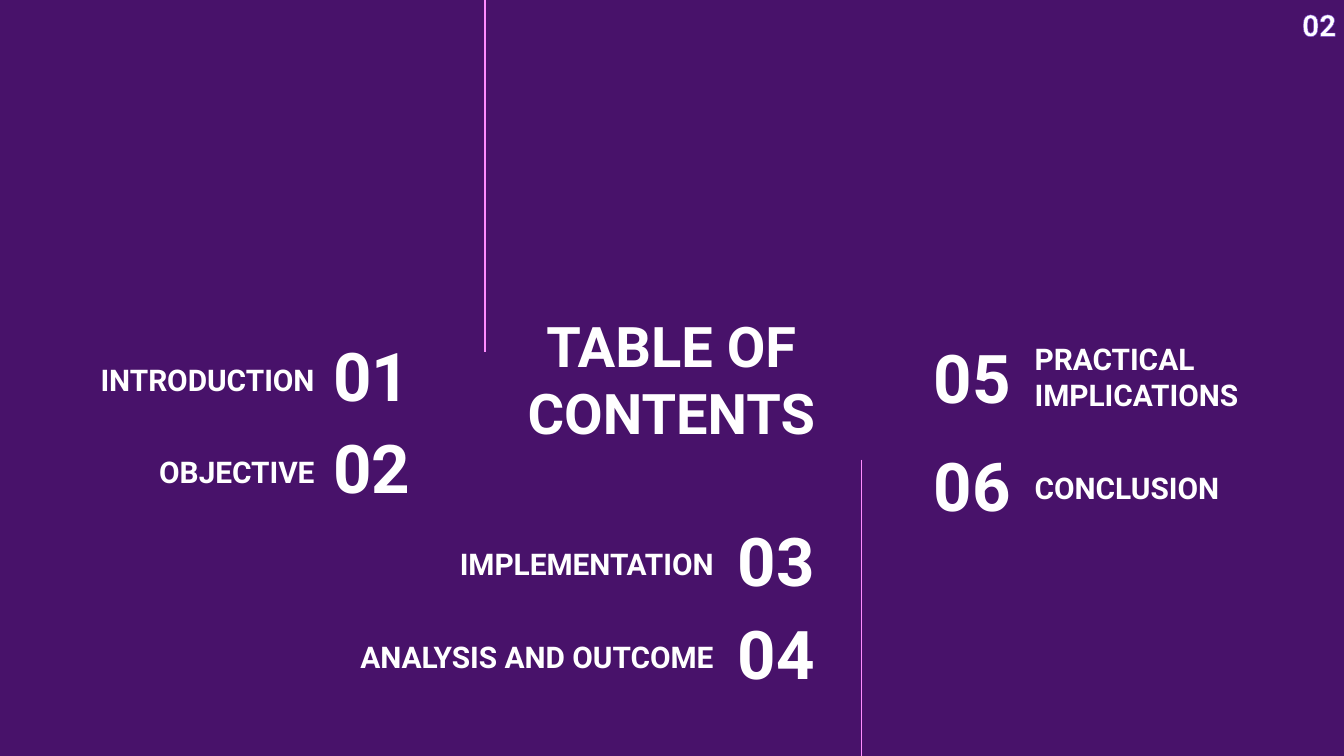
import pptx
import pptx.dml.color
import pptx.enum.shapes
import pptx.enum.text
import pptx.oxml
import pptx.oxml.ns
import pptx.util
import lxml.etree

Inches = pptx.util.Inches
Pt = pptx.util.Pt
ALIGN = pptx.enum.text.PP_ALIGN
ANCHOR = pptx.enum.text.MSO_ANCHOR


def color(value):
    return pptx.dml.color.RGBColor.from_string(value)


class ContentsSlide:
    font = {"name": "Roboto", "bold": True}
    background = "48126A"
    text_color = "FFFFFF"
    line_color = "FF8CFF"
    outline_color = "784CCF"

    def __init__(self, presentation):
        self.slide = presentation.slides.add_slide(presentation.slide_layouts[6])
        fill = self.slide.background.fill
        fill.solid()
        fill.fore_color.rgb = color(self.background)

    def text(self, content, left, top, width, height, size,
             align=ALIGN.LEFT, anchor=ANCHOR.MIDDLE, inset=0.1):
        shape = self.slide.shapes.add_textbox(
            Inches(left), Inches(top), Inches(width), Inches(height))
        frame = shape.text_frame
        frame_format = {"word_wrap": True, "vertical_anchor": anchor}
        for side in ("left", "top", "right", "bottom"):
            frame_format[f"margin_{side}"] = Inches(inset)
        for name, value in frame_format.items():
            setattr(frame, name, value)
        paragraph = frame.paragraphs[0]
        paragraph.alignment = align
        run = paragraph.add_run()
        run.text = content
        for name, value in {**self.font, "size": Pt(size)}.items():
            setattr(run.font, name, value)
        run.font.color.rgb = color(self.text_color)
        return shape

    def entry(self, number, label, number_box, label_box, align):
        height = 0.63
        self.text(number, *number_box, height, 36, align)
        self.text(label, *label_box, height, 16, align, ANCHOR.BOTTOM)

    def vertical_line(self, x, top, bottom):
        connector = self.slide.shapes.add_connector(
            pptx.enum.shapes.MSO_CONNECTOR.STRAIGHT,
            Inches(x), Inches(top), Inches(x), Inches(bottom))
        connector.line.color.rgb = color(self.line_color)
        connector.line.width = Pt(0.75)
        properties = connector._element.spPr
        lxml.etree.SubElement(properties, pptx.oxml.ns.qn("a:effectLst"))

    def page_number(self, content):
        shape = self.text(content, 9.57, 0, 0.49, 0.37, 16,
                          ALIGN.CENTER, ANCHOR.TOP, 0.05)
        frame = shape.text_frame
        frame.auto_size = pptx.enum.text.MSO_AUTO_SIZE.SHAPE_TO_FIT_TEXT
        outline = pptx.oxml.parse_xml(
            f'<a:ln {pptx.oxml.ns.nsdecls("a")} w="{Pt(0.8)}"><a:solidFill>'
            f'<a:srgbClr val="{self.outline_color}"/></a:solidFill></a:ln>')
        frame.paragraphs[0].runs[0].font._element.insert(0, outline)


def main():
    presentation = pptx.Presentation()
    presentation.slide_width = Inches(10)
    presentation.slide_height = Inches(10) * 9 // 16
    contents = ContentsSlide(presentation)

    contents.text("TABLE OF CONTENTS", 3.7, 2.3, 2.59, 1.03, 30, ALIGN.CENTER)
    contents.vertical_line(3.61, 0, 2.62)
    contents.vertical_line(6.41, 3.42, 5.64)

    entries = [
        ("INTRODUCTION", (1.94, 2.47, 1.21), (0.28, 2.43, 2.16), ALIGN.RIGHT),
        ("OBJECTIVE", (1.94, 3.16, 1.21), (0.28, 3.11, 2.16), ALIGN.RIGHT),
        ("IMPLEMENTATION", (4.95, 3.85, 1.21), (3.27, 3.8, 2.14), ALIGN.RIGHT),
        ("ANALYSIS AND OUTCOME", (4.95, 4.54, 1.21), (2.51, 4.49, 2.9), ALIGN.RIGHT),
        ("PRACTICAL IMPLICATIONS", (6.85, 2.49, 1.17), (7.6, 2.54, 2.4), ALIGN.LEFT),
        ("CONCLUSION", (6.85, 3.29, 1.17), (7.6, 3.23, 2.16), ALIGN.LEFT),
    ]
    for number, (label, number_box, label_box, align) in enumerate(entries, 1):
        contents.entry(f"{number:02}", label, number_box, label_box, align)

    contents.page_number("02")
    presentation.save("out.pptx")


if __name__ == "__main__":
    main()
